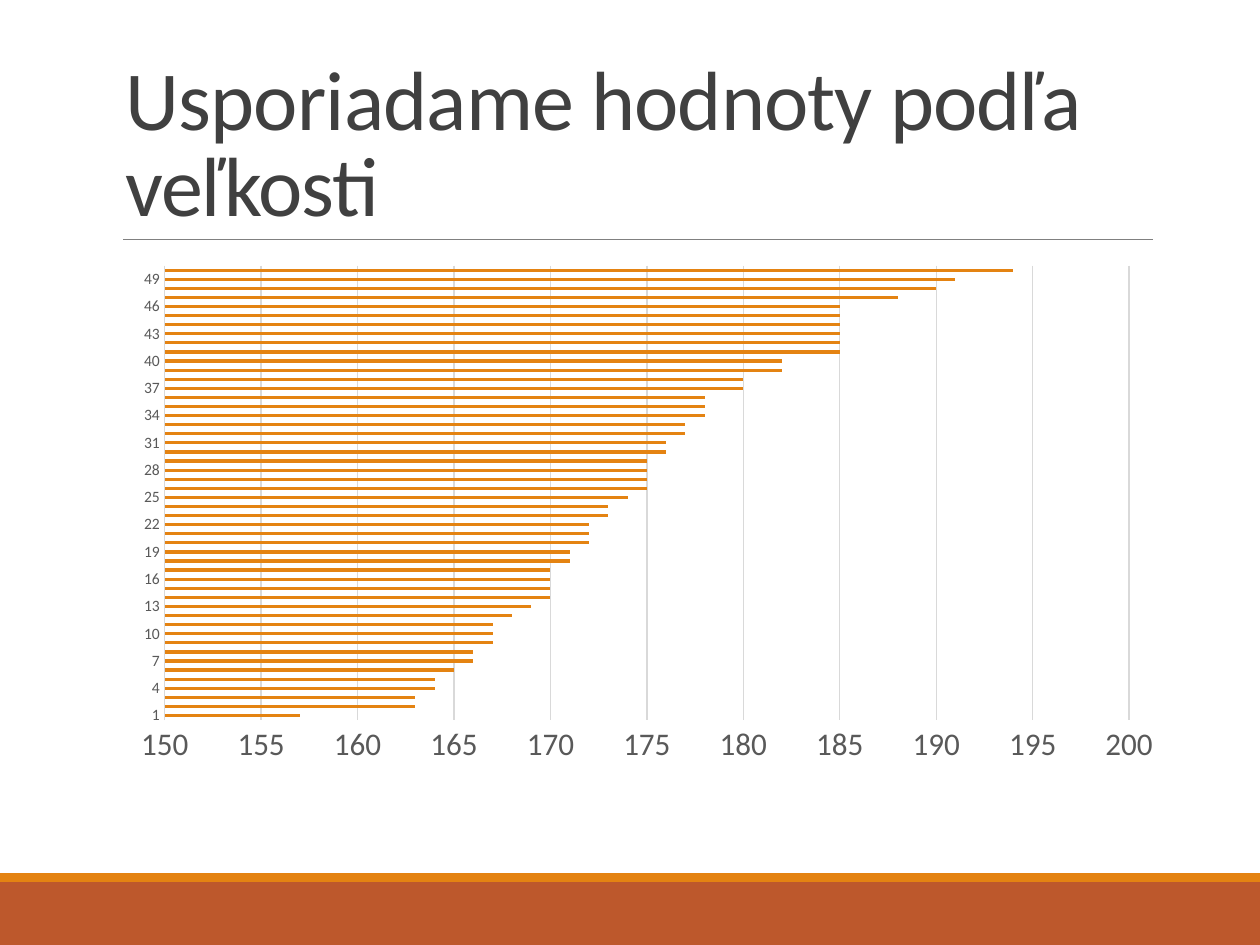
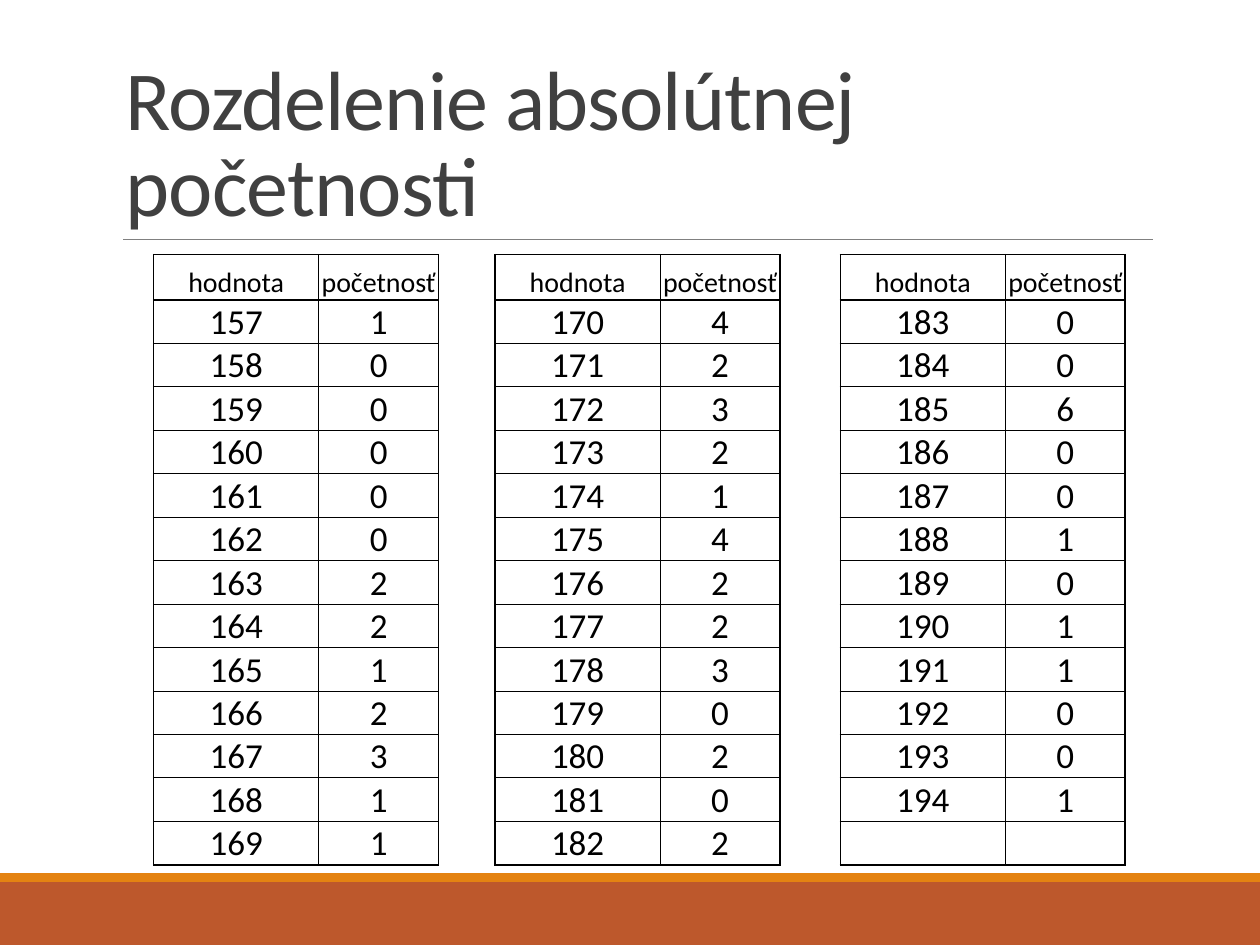
"""Build two slides on ordered values and their absolute frequencies."""
from collections import Counter

from lxml import etree
from pptx import Presentation
from pptx.chart.data import CategoryChartData
from pptx.dml.color import RGBColor
from pptx.enum.chart import XL_CHART_TYPE, XL_TICK_MARK
from pptx.enum.shapes import MSO_CONNECTOR, MSO_SHAPE
from pptx.enum.text import MSO_ANCHOR, PP_ALIGN
from pptx.oxml.ns import qn
from pptx.util import Inches, Pt

BARS = XL_CHART_TYPE.BAR_CLUSTERED
NO_TICK = XL_TICK_MARK.NONE
STRAIGHT = MSO_CONNECTOR.STRAIGHT
RECTANGLE = MSO_SHAPE.RECTANGLE
BOTTOM = MSO_ANCHOR.BOTTOM
CENTER = PP_ALIGN.CENTER

COLORS = {
    "band": "BD582C", "accent": "E48312", "rule": "808080", "title": "404040",
    "label": "595959", "grid": "D9D9D9", "ink": "000000",
}
GRID_COLUMNS, GRID_ROWS = 100, 75
HEIGHTS = [
    157, 163, 163, 164, 164, 165, 166, 166, 167, 167,
    167, 168, 169, 170, 170, 170, 170, 171, 171, 172,
    172, 172, 173, 173, 174, 175, 175, 175, 175, 176,
    176, 177, 177, 178, 178, 178, 180, 180, 182, 182,
    185, 185, 185, 185, 185, 185, 188, 190, 191, 194,
]
HEADINGS = ("hodnota", "početnosť")
VALUES_PER_BLOCK = 13
BLOCK_WIDTHS = (13.1, 9.5)
GAP_WIDTHS = (4.5, 4.8)


class Deck:
    """Hold the shared style and the current slide."""

    def __init__(self):
        self.presentation = Presentation()
        self.presentation.slide_width = Inches(10)
        self.presentation.slide_height = Inches(7.5)
        self.column = self.presentation.slide_width / GRID_COLUMNS
        self.row = self.presentation.slide_height / GRID_ROWS
        self.font_name = "Calibri"

    def place(self, left, top, width, height):
        return (round(left * self.column), round(top * self.row),
                round(width * self.column), round(height * self.row))

    def color(self, key):
        return RGBColor.from_string(COLORS[key])

    def style_font(self, font, size, color):
        font.name = self.font_name
        font.size = Pt(size)
        font.color.rgb = self.color(color)

    def style_line(self, line, width, color):
        line.color.rgb = self.color(color)
        line.width = Pt(width)

    def add_slide(self, heading):
        blank = self.presentation.slide_layouts[6]
        self.shapes = self.presentation.slides.add_slide(blank).shapes
        self.add_band(70, 5, "band")
        self.add_band(69.3, 0.7, "accent")
        self.add_rule(9.8, 91.5, 19)
        self.add_title(heading)

    def add_band(self, top, height, color):
        band = self.shapes.add_shape(RECTANGLE, *self.place(0, top, GRID_COLUMNS, height))
        band.shadow.inherit = False
        band.fill.solid()
        band.fill.fore_color.rgb = self.color(color)
        band.line.fill.background()

    def add_rule(self, start, end, level):
        rule = self.shapes.add_connector(STRAIGHT, round(start * self.column), round(level * self.row),
                                         round(end * self.column), round(level * self.row))
        self.style_line(rule.line, 0.5, "rule")
        etree.SubElement(rule._element.spPr, qn("a:effectLst"))

    def add_title(self, heading):
        frame = self.shapes.add_textbox(*self.place(9, 3.1, 82.5, 15.9)).text_frame
        frame.word_wrap = True
        frame.vertical_anchor = BOTTOM
        paragraph = frame.paragraphs[0]
        paragraph.line_spacing = 0.85
        run = paragraph.add_run()
        run.text = heading
        run._r.get_or_add_rPr().set("spc", "-50")
        self.style_font(paragraph.font, 48, "title")

    def add_bar_chart(self, values, low, high):
        data = CategoryChartData()
        data.categories = [str(rank) for rank in range(1, len(values) + 1)]
        data.add_series("Series 1", values)
        chart = self.shapes.add_chart(BARS, *self.place(9, 20.2, 82.5, 44), data).chart
        self.style_font(chart.font, 10, "ink")
        chart.has_legend = False
        chart.has_title = False
        bars = chart.plots[0]
        bars.gap_width = 182
        bars.vary_by_categories = False
        bars.series[0].format.fill.solid()
        bars.series[0].format.fill.fore_color.rgb = self.color("accent")
        ranks, scale = chart.category_axis, chart.value_axis
        for axis, size in ((ranks, 9), (scale, 18)):
            axis.major_tick_mark = axis.minor_tick_mark = NO_TICK
            self.style_font(axis.tick_labels.font, size, "label")
        ranks.has_major_gridlines = False
        self.style_line(ranks.format.line, 0.75, "grid")
        scale.minimum_scale, scale.maximum_scale = low, high
        scale.has_major_gridlines = True
        self.style_line(scale.major_gridlines.format.line, 0.75, "grid")
        scale.format.line.fill.background()
        self.fix_plot_area(chart, x=0.05, y=0.02, w=0.94, h=0.82)

    def fix_plot_area(self, chart, **shares):
        plot_area = chart._chartSpace.chart.plotArea
        for automatic in plot_area.findall(qn("c:layout")):
            plot_area.remove(automatic)
        layout = etree.Element(qn("c:layout"))
        manual = etree.SubElement(layout, qn("c:manualLayout"))
        settings = {"layoutTarget": "inner", "xMode": "edge", "yMode": "edge", **shares}
        for tag, value in settings.items():
            etree.SubElement(manual, qn(f"c:{tag}")).set("val", str(value))
        plot_area.insert(0, layout)

    def add_table(self, left, top, widths, rows, heading_height, row_height):
        total_height = heading_height + row_height * (len(rows) - 1)
        table = self.shapes.add_table(len(rows), len(widths),
                                      *self.place(left, top, sum(widths), total_height)).table
        table.first_row = table.horz_banding = False
        for column, width in zip(table.columns, widths):
            column.width = round(width * self.column)
        for index, texts in enumerate(rows):
            table.rows[index].height = round((row_height if index else heading_height) * self.row)
            for position, text in enumerate(texts):
                borders = self.cell_borders(index, position % 3, len(rows) - 1)
                self.fill_cell(table.cell(index, position), text, 20 if index else 16, borders)

    def cell_borders(self, index, part, last):
        if part == 2:
            return {"L": 1, "R": 1, "T": 0, "B": 0}
        return {"L": 0.5 if part else 1, "R": 1 if part else 0.5,
                "T": 1 if index < 2 else 0.5, "B": 1 if index in (0, last) else 0.5}

    def fill_cell(self, cell, text, size, borders):
        cell.margin_left = cell.margin_right = cell.margin_top = Inches(0.01)
        cell.margin_bottom = 0
        cell.vertical_anchor = BOTTOM
        properties = cell._tc.get_or_add_tcPr()
        for side, width in borders.items():
            border = etree.SubElement(properties, qn(f"a:ln{side}"), w=str(Pt(width)))
            if width:
                paint = etree.SubElement(border, qn("a:solidFill"))
                etree.SubElement(paint, qn("a:srgbClr"), val=COLORS["ink"])
            else:
                etree.SubElement(border, qn("a:noFill"))
        cell.fill.background()
        cell.text = text
        paragraph = cell.text_frame.paragraphs[0]
        paragraph.alignment = CENTER
        self.style_font(paragraph.font, size, "ink")


def frequency_rows(values):
    """Arrange every value and its count in three side-by-side blocks."""
    counts = Counter(values)
    low, high = min(values), max(values)
    rows = [[*HEADINGS, "", *HEADINGS, "", *HEADINGS]]
    for first in range(low, low + VALUES_PER_BLOCK):
        row = []
        for block in range(3):
            value = first + block * VALUES_PER_BLOCK
            row += [str(value), str(counts[value]), ""] if value <= high else ["", "", ""]
        rows.append(row[:-1])
    return rows


def main():
    """Build and save both slides."""
    deck = Deck()
    deck.add_slide("Usporiadame hodnoty podľa veľkosti")
    deck.add_bar_chart(HEIGHTS, 150, 200)

    deck.add_slide("Rozdelenie absolútnej početnosti")
    widths = [*BLOCK_WIDTHS, GAP_WIDTHS[0], *BLOCK_WIDTHS, GAP_WIDTHS[1], *BLOCK_WIDTHS]
    deck.add_table(12.2, 20.2, widths, frequency_rows(HEIGHTS), 3.6, 3.45)
    deck.presentation.save("out.pptx")


if __name__ == "__main__":
    main()
